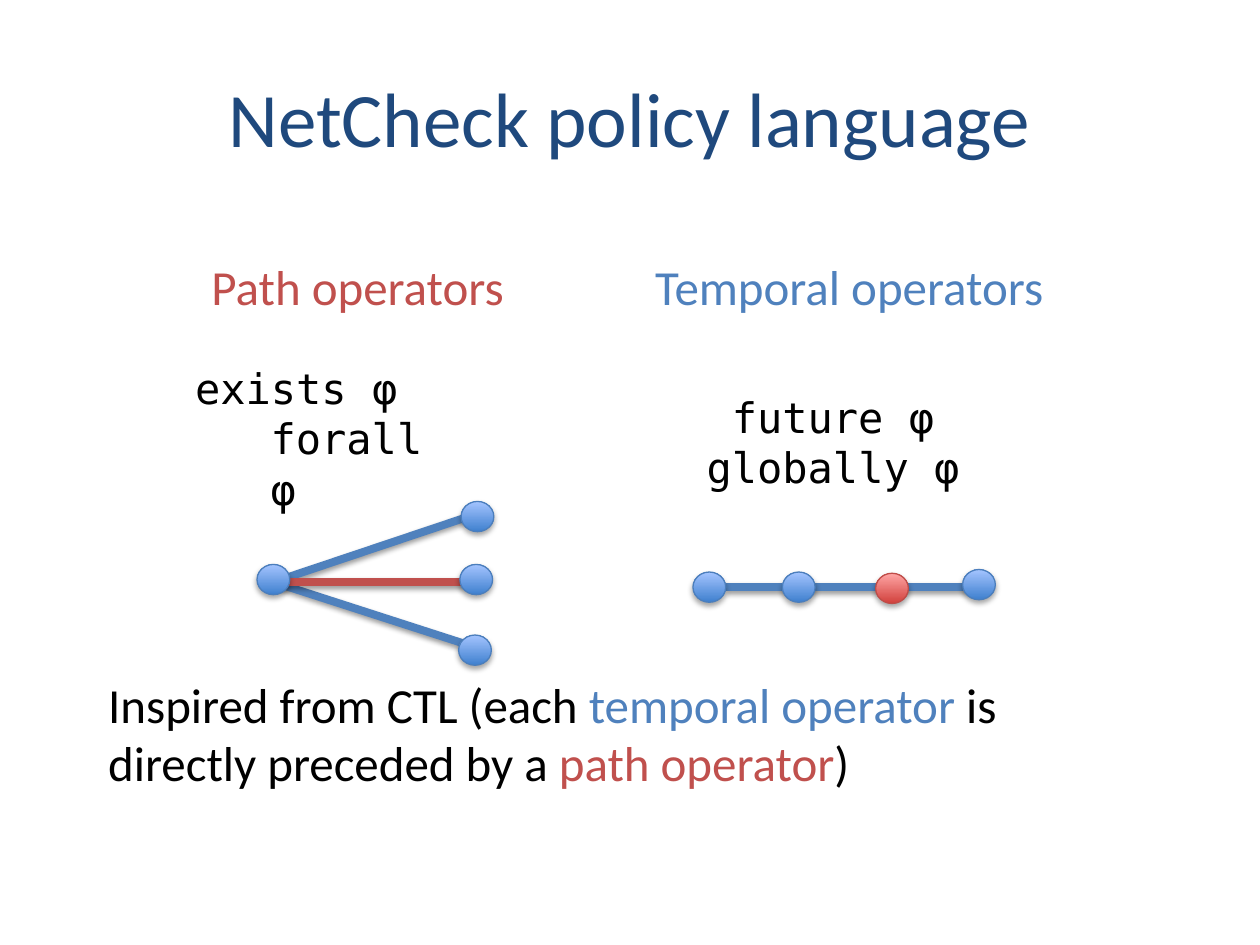
from dataclasses import dataclass

from lxml import etree
from pptx import Presentation
from pptx.dml.color import RGBColor as RGB
from pptx.enum.shapes import MSO_CONNECTOR as CONN, MSO_SHAPE as SHAPE
from pptx.enum.text import MSO_ANCHOR as ANCHOR, PP_ALIGN as ALIGN
from pptx.oxml import parse_xml
from pptx.oxml.ns import nsdecls, qn
from pptx.util import Inches, Pt


@dataclass(frozen=True)
class Theme:
    font: str = "Calibri"
    mono: str = "DejaVu Sans Mono"
    title_size: int = 44
    body_size: int = 28
    code_size: int = 24
    navy: str = "1F497D"
    black: str = "000000"
    red: str = "C0504D"
    blue: str = "4F81BD"
    # Node colours: bottom, top, outline
    blue_node: tuple = ("3F80CE", "A4C4FF", "4B7EBC")
    red_node: tuple = ("D1403C", "FFA6A5", "BF4C48")
    edge_width: float = 4.5
    node_line: float = 0.75
    node_w: float = 0.26
    node_h: float = 0.24


T = Theme()


def add_text(slide, box, paragraphs, size, font=T.font, align=ALIGN.LEFT,
             anchor=ANCHOR.TOP, space=0):
    """Each paragraph is (indent in inches, [(text, colour), ...])."""
    tf = slide.shapes.add_textbox(*map(Inches, box)).text_frame
    tf.word_wrap = True
    tf.vertical_anchor = anchor
    for i, (indent, runs) in enumerate(paragraphs):
        p = tf.paragraphs[0] if i == 0 else tf.add_paragraph()
        p.alignment = align
        p.space_before = Pt(space)
        if indent:
            p._p.get_or_add_pPr().set("marL", str(Inches(indent)))
        for text, colour in runs:
            r = p.add_run()
            r.text = text
            r.font.name = font
            r.font.size = Pt(size)
            r.font.color.rgb = RGB.from_string(colour)


def add_shadow(s, opacity, distance):
    spPr = s._element.spPr
    for old in spPr.findall(qn("a:effectLst")):
        spPr.remove(old)
    effects = parse_xml(f"<a:effectLst {nsdecls('a')}/>")
    shadow = etree.SubElement(effects, qn("a:outerShdw"), blurRad=str(Pt(3.1)),
                              dist=str(Pt(distance)), dir="5400000", rotWithShape="0")
    colour = etree.SubElement(shadow, qn("a:srgbClr"), val=T.black)
    etree.SubElement(colour, qn("a:alpha"), val=str(opacity * 1000))
    spPr.append(effects)


def add_edge(group, start, end, colour):
    s = group.shapes.add_connector(CONN.STRAIGHT, *map(Inches, (*start, *end)))
    s.line.color.rgb = RGB.from_string(colour)
    s.line.width = Pt(T.edge_width)
    add_shadow(s, 38, 1.6)


def add_node(group, x, y, colours):
    s = group.shapes.add_shape(SHAPE.OVAL, *map(Inches, (x, y, T.node_w, T.node_h)))
    *stops, outline = colours
    s.fill.gradient()
    s.fill.gradient_angle = 90
    for stop, colour in zip(s.fill.gradient_stops, stops):
        stop.color.rgb = RGB.from_string(colour)
    s.line.color.rgb = RGB.from_string(outline)
    s.line.width = Pt(T.node_line)
    add_shadow(s, 35, 1.8)


def add_operators(slide, heading_box, heading, colour, code_box, operators):
    add_text(slide, heading_box, [(0, [(heading, colour)])], T.body_size, space=5.6)
    lines = [(indent, [(text, T.black)]) for indent, text in operators]
    add_text(slide, code_box, lines, T.code_size, font=T.mono, anchor=ANCHOR.MIDDLE)


def add_branches(slide, x, y):
    """One state with three successors; the middle path is singled out."""
    group = slide.shapes.add_group_shape()
    root = (x + 0.13, y + 0.64)
    for dy, colour in ((0.12, T.blue), (1.14, T.blue), (0.64, T.red)):
        add_edge(group, root, (x + 1.68, y + dy), colour)
    for dx, dy in ((0, 0.5), (1.6, 1.06), (1.62, 0), (1.61, 0.5)):
        add_node(group, x + dx, y + dy, T.blue_node)


def add_timeline(slide, x, y):
    """A run of four states; the third one is singled out."""
    group = slide.shapes.add_group_shape()
    add_edge(group, (x + 0.26, y + 0.14), (x + 2.21, y + 0.14), T.blue)
    for dx, dy, colours in ((0, 0.02, T.blue_node), (2.14, 0, T.blue_node),
                            (1.45, 0.03, T.red_node), (0.71, 0.02, T.blue_node)):
        add_node(group, x + dx, y + dy, colours)


def build_slide(prs):
    slide = prs.slides.add_slide(prs.slide_layouts[6])
    # Title
    add_text(slide, (0.5, 0.3, 9, 1.25), [(0, [("NetCheck policy language", T.navy)])],
             T.title_size, align=ALIGN.CENTER, anchor=ANCHOR.MIDDLE)
    # Operator columns
    add_operators(slide, (1.58, 1.99, 2.78, 0.68), "Path operators", T.red,
                  (1.45, 2.85, 2.4, 1.25), [(0, "exists φ"), (0.6, "forall φ")])
    add_operators(slide, (5.1, 1.99, 3.62, 0.68), "Temporal operators", T.blue,
                  (5.51, 2.88, 2.4, 1.25), [(0.2, "future φ"), (0, "globally φ")])
    # Closing remark
    remark = [("Inspired from CTL (each ", T.black), ("temporal operator", T.blue),
              (" is directly preceded by a ", T.black), ("path operator", T.red),
              (")", T.black)]
    add_text(slide, (0.76, 5.3, 8.39, 0.92), [(0, remark)], T.body_size, space=5.6)
    # Diagrams
    add_branches(slide, 2.04, 3.98)
    add_timeline(slide, 5.5, 4.52)


prs = Presentation()
prs.slide_width, prs.slide_height = Inches(10), Inches(7.5)
build_slide(prs)
prs.save("out.pptx")
